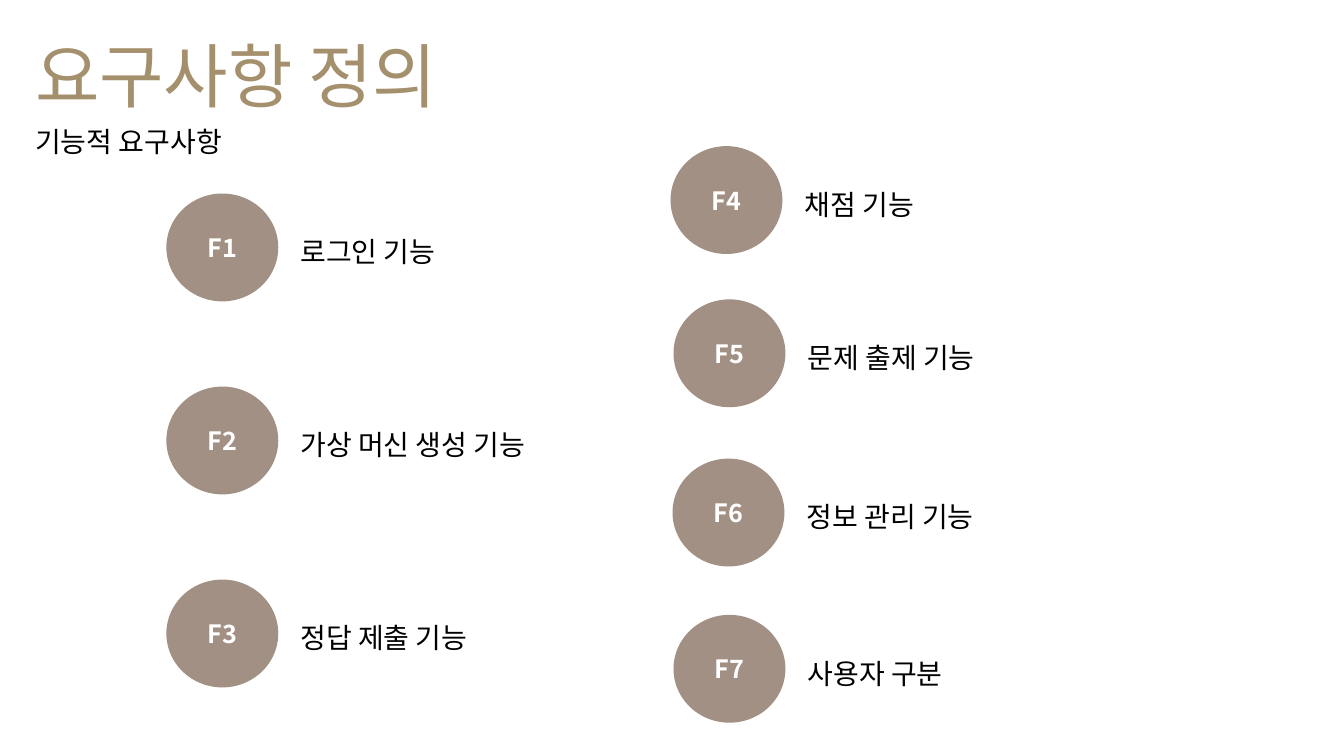
from dataclasses import dataclass

from lxml.etree import SubElement
from pptx import Presentation
from pptx.dml.color import RGBColor
from pptx.enum.shapes import MSO_SHAPE
from pptx.enum.text import MSO_ANCHOR, PP_ALIGN
from pptx.oxml.ns import qn
from pptx.slide import Slide
from pptx.text.text import TextFrame
from pptx.util import Inches, Pt


@dataclass(frozen=True)
class Theme:
    face: str = "Noto Sans CJK KR"
    gold: str = "A4906C"
    taupe: str = "A19083"
    black: str = "000000"
    white: str = "FFFFFF"
    title: int = 50
    body: int = 20
    badge: int = 18


@dataclass(frozen=True)
class Feature:
    code: str
    label: str
    left: float
    top: float


THEME = Theme()
LEFT = [
    Feature(f"F{n + 1}", label, 1.65, 1.92 + 1.915 * n)
    for n, label in enumerate(["로그인 기능", "가상 머신 생성 기능", "정답 제출 기능"])
]
RIGHT = [
    Feature("F4", "채점 기능", 6.65, 1.45),
    Feature("F5", "문제 출제 기능", 6.68, 2.97),
    Feature("F6", "정보 관리 기능", 6.67, 4.55),
    Feature("F7", "사용자 구분", 6.68, 6.1),
]


def write(frame: TextFrame, text: str, size: int, color: str, bold: bool = False) -> None:
    frame.word_wrap = True
    para = frame.paragraphs[0]
    para.text = text
    font = para.font
    font.size, font.bold, font.name = Pt(size), bold, THEME.face
    font.color.rgb = RGBColor.from_string(color)
    # Hangul takes the East Asian typeface
    props = para._p.pPr.find(qn("a:defRPr"))
    SubElement(props, qn("a:ea"), typeface=THEME.face)


def add_text(slide: Slide, text: str, left: float, top: float, width: float,
             height: float, size: int, color: str) -> None:
    box = slide.shapes.add_textbox(Inches(left), Inches(top), Inches(width), Inches(height))
    write(box.text_frame, text, size, color)


def add_feature(slide: Slide, item: Feature) -> None:
    # Round badge with the code
    badge = slide.shapes.add_shape(MSO_SHAPE.OVAL, Inches(item.left), Inches(item.top),
                                   Inches(1.11), Inches(1.07))
    badge.shadow.inherit = False
    badge.fill.solid()
    badge.fill.fore_color.rgb = RGBColor.from_string(THEME.taupe)
    badge.line.fill.background()
    frame = badge.text_frame
    write(frame, item.code, THEME.badge, THEME.white, bold=True)
    frame.vertical_anchor = MSO_ANCHOR.MIDDLE
    frame.paragraphs[0].alignment = PP_ALIGN.CENTER
    # Label beside the badge
    add_text(slide, item.label, item.left + 1.23, item.top + 0.36, 4.35, 0.44,
             THEME.body, THEME.black)


def main() -> None:
    deck = Presentation()
    deck.slide_width, deck.slide_height = Inches(13.33), Inches(7.5)
    slide = deck.slides.add_slide(deck.slide_layouts[6])

    # Headings
    add_text(slide, "요구사항 정의", 0.25, 0.27, 5.81, 0.94, THEME.title, THEME.gold)
    add_text(slide, "기능적 요구사항", 0.25, 1.19, 4.35, 0.44, THEME.body, THEME.black)

    # Two columns of features
    for item in LEFT + RIGHT:
        add_feature(slide, item)

    deck.save("out.pptx")


if __name__ == "__main__":
    main()
